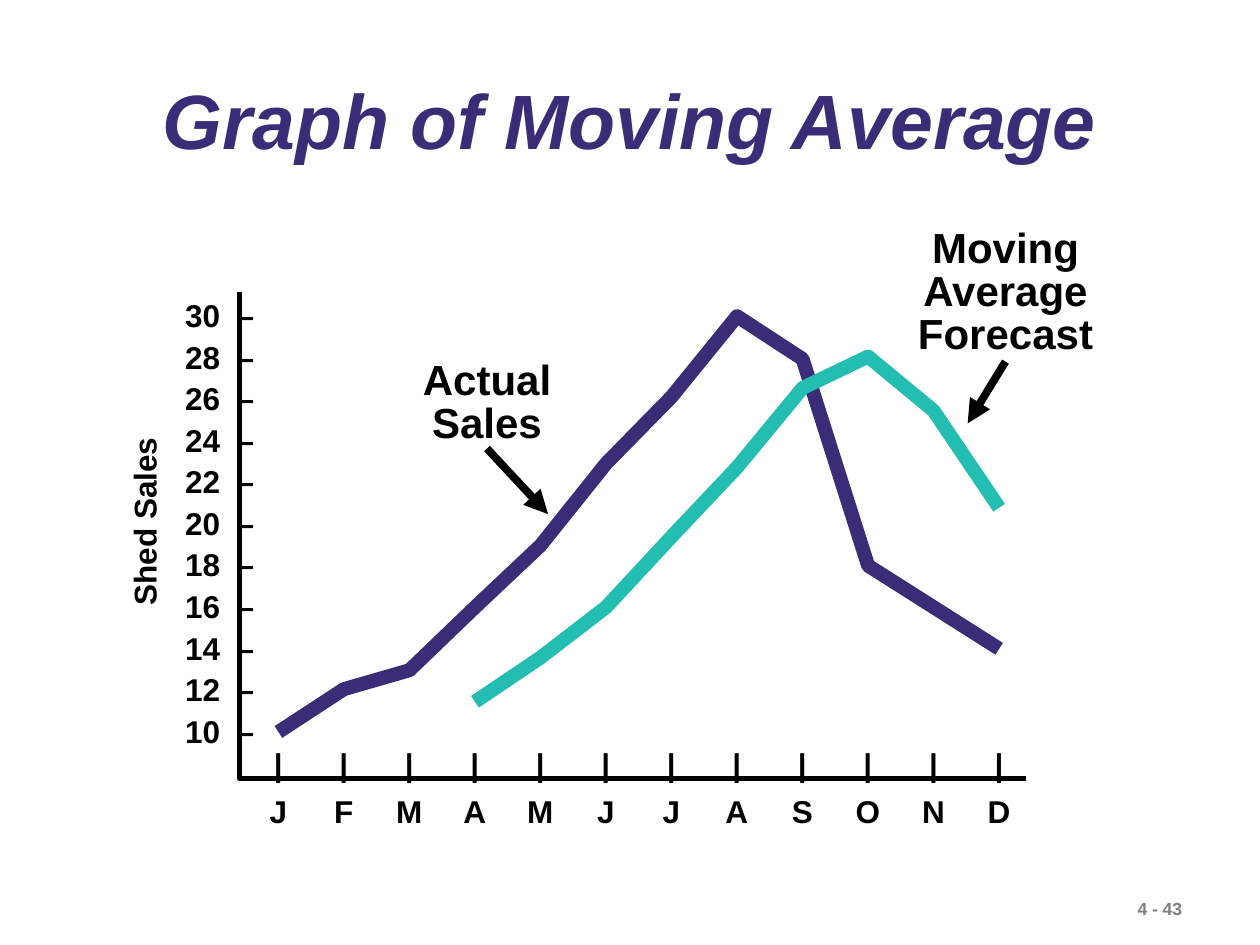
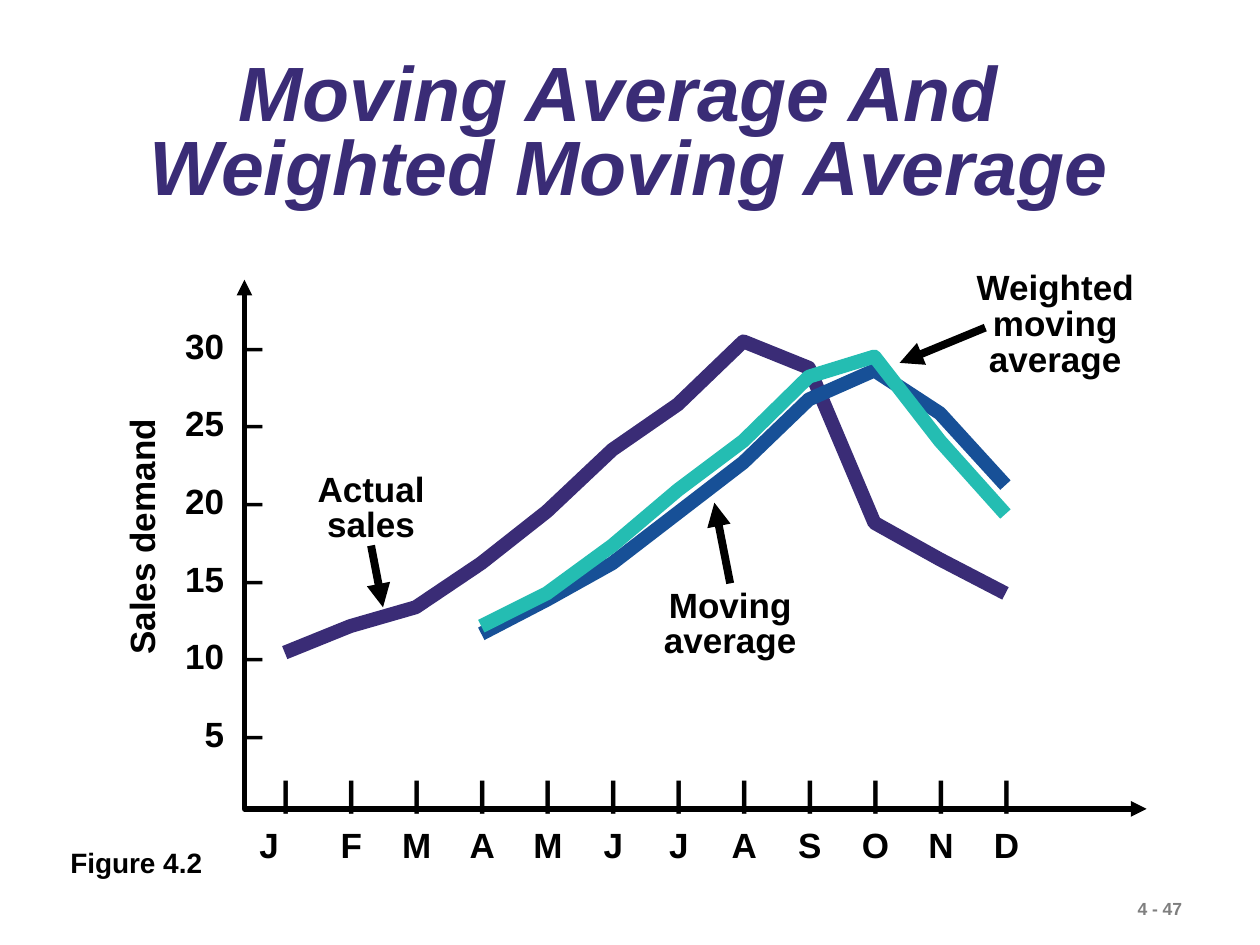
from lxml import etree
from pptx import Presentation
from pptx.dml.color import RGBColor
from pptx.enum.shapes import MSO_CONNECTOR
from pptx.enum.text import MSO_ANCHOR, MSO_AUTO_SIZE, PP_ALIGN
from pptx.oxml.ns import qn
from pptx.util import Inches, Pt

LEFT, MID = PP_ALIGN.LEFT, PP_ALIGN.CENTER
STRAIGHT = MSO_CONNECTOR.STRAIGHT
MIDDLE, FIXED = MSO_ANCHOR.MIDDLE, MSO_AUTO_SIZE.NONE

HUES = {"ink": "000000", "plum": "3A2C76", "teal": "24BDB2",
        "blue": "175097", "gray": "7F7F7F"}
TITLE = {"size": Pt(44), "italic": True}
STEP = 0.52  # distance between two months
MONTHS = "JFMAMJJASOND"

CHARTS = [
    {
        "title": "Graph of Moving Average", "tbox": (0.75, 0.48, 8.5, 1.01),
        "tgap": 0.9, "page": "4 - 43", "size": 18, "call": 24,
        "axis": [(1.9, 2.32), (1.9, 6.18), (8.14, 6.18)], "heads": [],
        "name": ("Shed Sales", (0.38, 3.94, 1.53, 0.4)),
        "scale": range(30, 9, -2), "sbox": (1.17, 2.27, 1.2, 3.73),
        "sgap": 1.1, "stabs": [(0.48, "r"), (0.61, "l")],
        "mbox": (1.69, 5.79, 6.6, 0.85), "mtab": 0.42,
        "row": "\t" + "\t".join(MONTHS), "first": 2.21,
        "curves": [
            ("plum", 0, [5.81, 5.47, 5.32, 4.82, 4.33, 3.68,
                         3.15, 2.51, 2.85, 4.49, 4.82, 5.15]),
            ("teal", 3, [5.57, 5.22, 4.82, 4.26, 3.71, 3.08,
                         2.83, 3.26, 4.03]),
        ],
        # text, box, start of arrow, end of arrow, joined side
        "calls": [
            ("Actual Sales", (3.07, 2.82, 1.59, 0.74),
             (3.89, 3.54), (4.35, 4.08), 2),
            ("Moving Average Forecast", (7.02, 1.77, 1.92, 1.1),
             (7.97, 2.86), (7.68, 3.36), 2),
        ],
        "note": None,
    },
    {
        "title": "Moving Average And \vWeighted Moving Average",
        "tbox": (0.42, 0.36, 9.15, 1.44),
        "tgap": 0.8, "page": "4 - 47", "size": 20, "call": 20,
        "axis": [(1.94, 2.22), (1.94, 6.42), (9.1, 6.42)],
        "heads": ["headEnd", "tailEnd"],
        "name": ("Sales demand", (0.09, 4.04, 2.07, 0.44)),
        "scale": range(30, 4, -5), "sbox": (1.17, 2.24, 1.2, 3.8),
        "sgap": 1.85, "stabs": [(0.51, "r"), (0.67, "l")],
        "mbox": (1.96, 5.99, 6.6, 0.94), "mtab": 0.21,
        "row": "J\t\t" + "\t".join(MONTHS[1:]), "first": 2.26,
        "curves": [
            ("plum", 0, [5.18, 4.97, 4.82, 4.47, 4.06, 3.57,
                         3.21, 2.71, 2.92, 4.15, 4.44, 4.71]),
            ("blue", 3, [5.03, 4.76, 4.47, 4.07, 3.67, 3.17,
                         2.94, 3.28, 3.85]),
            ("teal", 3, [4.97, 4.71, 4.33, 3.89, 3.5, 2.99,
                         2.83, 3.5, 4.08]),
        ],
        "calls": [
            ("Actual sales", (2.27, 3.71, 1.35, 0.62),
             (2.94, 4.32), (3.04, 4.82), 2),
            ("Moving average", (4.9, 4.63, 1.79, 0.67),
             (5.82, 4.64), (5.67, 3.99), 0),
            ("Weighted moving average", (7.48, 2.11, 1.79, 0.95),
             (7.82, 2.6), (7.14, 2.88), None),
        ],
        "note": ("Figure 4.2", (0.46, 6.66, 1.24, 0.37)),
    },
]


def write(shape, box, lines, look, hue="ink", align=LEFT, gap=1.0,
          tabs=(), wrap=True):
    """Place a shape and fill it with formatted paragraphs."""
    shape.left, shape.top, shape.width, shape.height = map(Inches, box)
    frame = shape.text_frame
    frame.word_wrap, frame.auto_size = wrap, FIXED
    frame.text = "\n".join(lines)
    for para in frame.paragraphs:
        para.alignment, para.line_spacing = align, gap
        if tabs:
            stops = etree.SubElement(para._p.get_or_add_pPr(), qn("a:tabLst"))
            for pos, kind in tabs:
                etree.SubElement(stops, qn("a:tab"),
                                 pos=str(Inches(pos)), algn=kind)
        for run in para.runs:
            for key, value in {"name": "Arial", "bold": True, **look}.items():
                setattr(run.font, key, value)
            run.font.color.rgb = RGBColor.from_string(HUES[hue])
    return shape


def stroke(shape, hue, width, heads=()):
    """Give a line its colour, width and arrowheads, without shadow."""
    shape.line.color.rgb = RGBColor.from_string(HUES[hue])
    shape.line.width = Pt(width)
    for end in heads:
        etree.SubElement(shape.line._get_or_add_ln(), qn("a:" + end),
                         type="triangle")
    etree.SubElement(shape._element.spPr, qn("a:effectLst"))


deck = Presentation()
deck.slide_width, deck.slide_height = Inches(10), Inches(7.5)

for chart in CHARTS:
    slide = deck.slides.add_slide(deck.slide_layouts[5])
    shapes = slide.shapes
    look = {"size": Pt(chart["size"])}

    # Title and page number
    write(shapes.title, chart["tbox"], [chart["title"]], TITLE, "plum",
          MID, chart["tgap"])
    shapes.title.text_frame.vertical_anchor = MIDDLE

    # Plain labels: page number, axis name, figure number
    name, spot = chart["name"]
    labels = [(chart["page"], (8.93, 7.08, 1.07, 0.27), 10, "gray", 0),
              (name, spot, chart["size"], "ink", 270)]
    if chart["note"]:
        labels.append((*chart["note"], 16, "ink", 0))
    for text, box, size, hue, turn in labels:
        label = write(shapes.add_textbox(0, 0, 0, 0), box, [text],
                      {"size": Pt(size)}, hue, wrap=False)
        label.rotation = turn

    # Month ticks and value ticks
    stops = [(chart["mtab"] + STEP * i, "ctr") for i in range(len(MONTHS))]
    write(shapes.add_textbox(0, 0, 0, 0), chart["mbox"],
          ["\t|" * len(MONTHS), chart["row"]], look, gap=1.25, tabs=stops)
    write(shapes.add_textbox(0, 0, 0, 0), chart["sbox"],
          [f"\t{value}\t–" for value in chart["scale"]], look,
          gap=chart["sgap"], tabs=chart["stabs"])

    # Axes and curves
    paths = [("ink", 3, chart["heads"], chart["axis"])]
    for hue, start, highs in chart["curves"]:
        points = [(chart["first"] + STEP * i, y)
                  for i, y in enumerate(highs, start)]
        paths.append((hue, 8, [], points))
    for hue, width, heads, points in paths:
        points = [(Inches(x), Inches(y)) for x, y in points]
        pen = shapes.build_freeform(*points[0])
        pen.add_line_segments(points[1:], close=False)
        path = pen.convert_to_shape()
        path.fill.background()
        stroke(path, hue, width, heads)

    # Callouts with arrows
    for text, box, start, end, side in chart["calls"]:
        label = write(shapes.add_textbox(0, 0, 0, 0), box, [text],
                      {"size": Pt(chart["call"])}, align=MID, gap=0.85)
        arrow = shapes.add_connector(STRAIGHT, *map(Inches, start + end))
        if side is not None:
            arrow.begin_connect(label, side)
        stroke(arrow, "ink", 4.5, ["tailEnd"])

deck.save("out.pptx")
